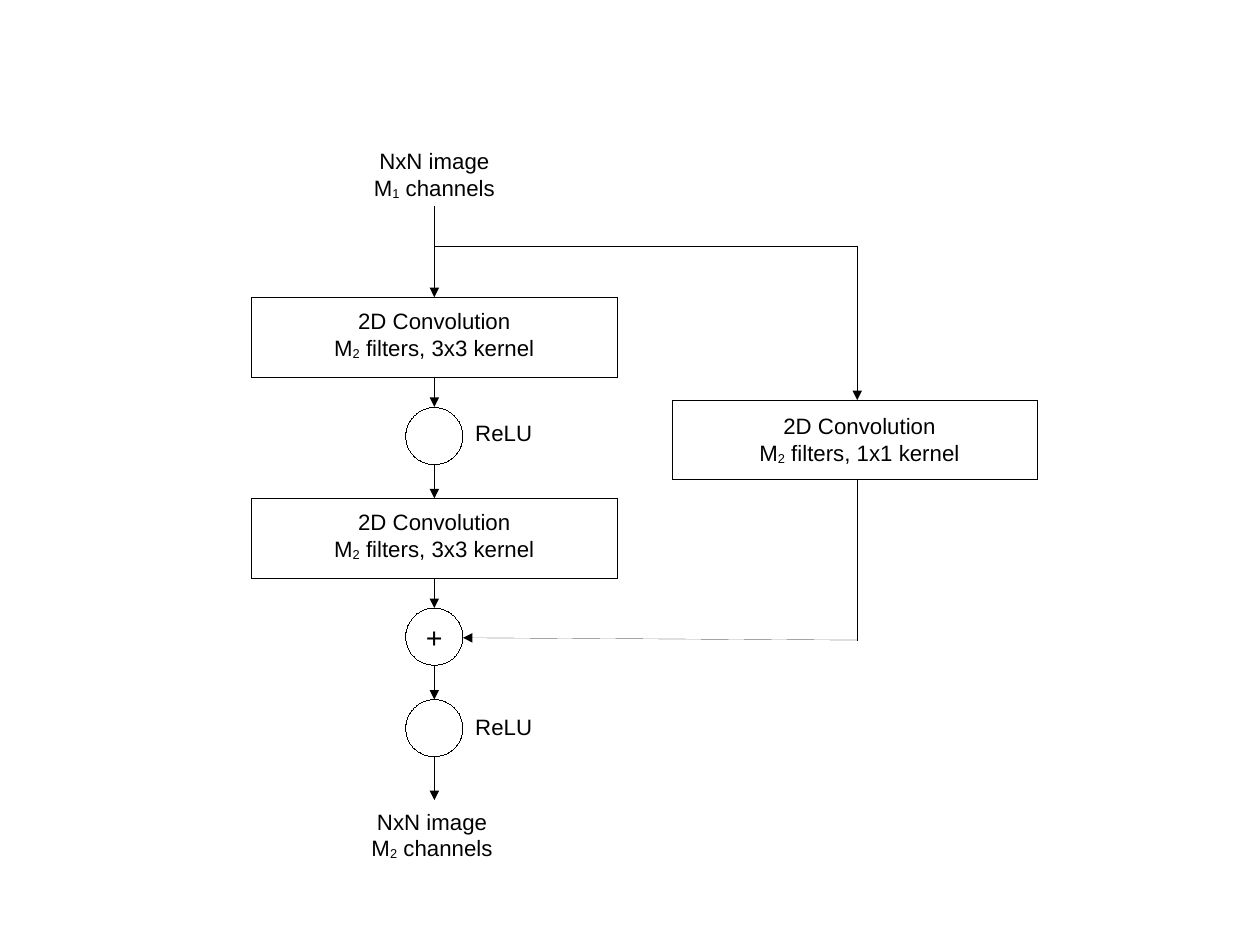
from dataclasses import dataclass

from lxml import etree
from pptx import Presentation
from pptx import util as u
from pptx.dml.color import RGBColor
from pptx.enum import shapes, text
from pptx.oxml import ns

CELL = 0.1  # side of a grid square, in inches
COLORS = {"ink": "000000"}
INK = RGBColor.from_string(COLORS["ink"])
MID = text.PP_ALIGN.CENTER
SUB = "-8000"  # baseline of a subscript
TRUNK, SIDE = 38, 75  # columns of the main path and the shortcut
FORK, JOIN = 21.6, 56  # rows where the shortcut leaves and turns back
WIDE, TALL, DISC = 32, 7, 5


@dataclass
class Node:
    name: str
    kind: shapes.MSO_SHAPE
    col: float
    row: float
    wide: float
    tall: float


@dataclass
class Label:
    words: str
    col: float
    row: float
    wide: float
    tall: float = 6
    align: text.PP_ALIGN = MID


@dataclass
class Link:
    start: tuple[float, float]
    end: tuple[float, float]
    arrow: bool = True
    source: str = ""  # box left at its bottom side
    target: str = ""  # box entered at its top side


def grid(num: float) -> u.Length:
    return u.Inches(num * CELL)


def write(frame, words: str, *, size: int = 14, align=MID, wrap: bool = True) -> None:
    """Lines are split at newlines; parts between bars are subscripts."""
    frame.word_wrap = wrap
    for num, line in enumerate(words.split("\n")):
        para = frame.add_paragraph() if num else frame.paragraphs[0]
        para.alignment = align
        for pos, part in enumerate(line.split("|")):
            run = para.add_run()
            run.text = part
            run.font.name = "Arial"
            run.font.size = u.Pt(size)
            run.font.color.rgb = INK
            if pos % 2:
                run.font._element.set("baseline", SUB)


def stroke(item):
    """Give a shape or connector a black hairline and return its XML."""
    item.line.color.rgb = INK
    line = item.element.spPr.find(ns.qn("a:ln"))
    line.set("w", "0")
    return line


def draw_node(slide, node: Node):
    shape = slide.shapes.add_shape(
        node.kind, grid(node.col), grid(node.row), grid(node.wide), grid(node.tall))
    shape.shadow.inherit = False
    shape.fill.background()
    stroke(shape)
    return shape


def draw_label(slide, label: Label) -> None:
    box = slide.shapes.add_textbox(
        grid(label.col), grid(label.row), grid(label.wide), grid(label.tall))
    box.text_frame.auto_size = text.MSO_AUTO_SIZE.SHAPE_TO_FIT_TEXT
    write(box.text_frame, label.words, align=label.align)


def draw_link(slide, link: Link, made: dict) -> None:
    line = slide.shapes.add_connector(
        shapes.MSO_CONNECTOR.STRAIGHT, *map(grid, link.start + link.end))
    if link.source:
        line.begin_connect(made[link.source], 2)
    if link.target:
        line.end_connect(made[link.target], 0)
    edge = stroke(line)
    if link.arrow:
        etree.SubElement(edge, ns.qn("a:tailEnd"), type="triangle")
    etree.SubElement(line.element.spPr, ns.qn("a:effectLst"))


def box(name: str, col: float, row: float) -> Node:
    return Node(name, shapes.MSO_SHAPE.RECTANGLE, col, row, WIDE, TALL)


def disc(name: str, row: float) -> Node:
    return Node(name, shapes.MSO_SHAPE.OVAL, TRUNK - DISC / 2, row, DISC, DISC)


def down(top: float, end: float, source: str = "", target: str = "") -> Link:
    return Link((TRUNK, top), (TRUNK, end), source=source, target=target)


def conv(side: int, col: float, row: float) -> Label:
    return Label(f"2D Convolution\nM|2| filters, {side}x{side} kernel", col, row, WIDE)


def port(num: int, col: float, row: float) -> Label:
    return Label(f"NxN image\nM|{num}| channels", col, row, 13.2)


def relu(row: float) -> Label:
    return Label("ReLU", 40.6, row, 7, 3.2, text.PP_ALIGN.LEFT)


NODES = [
    box("first", 22, 26), disc("relu", 35.65), box("second", 22, 43.6),
    disc("sum", 53.2), disc("last", 61.2), box("short", 58.8, 35),
]
LABELS = [
    port(1, 31.4, 12.4), conv(3, 22, 26.4), conv(3, 22, 44),
    conv(1, 59.2, 35.6), relu(36.2), relu(61.9), port(2, 31.2, 70.2),
]
LINKS = [
    # Main path
    down(18, 26, target="first"), down(33, 35.6, source="first"),
    down(40.6, 43.6, target="second"), down(50.6, 53.2, source="second"),
    down(58.2, 61.2), down(66.2, 70),
    # Shortcut
    Link((TRUNK, FORK), (SIDE, FORK), arrow=False),
    Link((SIDE, FORK), (SIDE, 35)),
    Link((SIDE, 42), (SIDE, JOIN), arrow=False),
    Link((SIDE, JOIN), (TRUNK + DISC / 2, 55.8)),
]


def main() -> None:
    deck = Presentation()
    deck.slide_width, deck.slide_height = u.Cm(28), u.Cm(21)
    slide = deck.slides.add_slide(deck.slide_layouts[6])

    # Boxes and circles
    made = {node.name: draw_node(slide, node) for node in NODES}
    plus = made["sum"].text_frame
    plus.vertical_anchor = text.MSO_ANCHOR.MIDDLE
    write(plus, "+", size=18, wrap=False)

    # Arrows, then captions
    for link in LINKS:
        draw_link(slide, link, made)
    for label in LABELS:
        draw_label(slide, label)
    deck.save("out.pptx")


if __name__ == "__main__":
    main()
